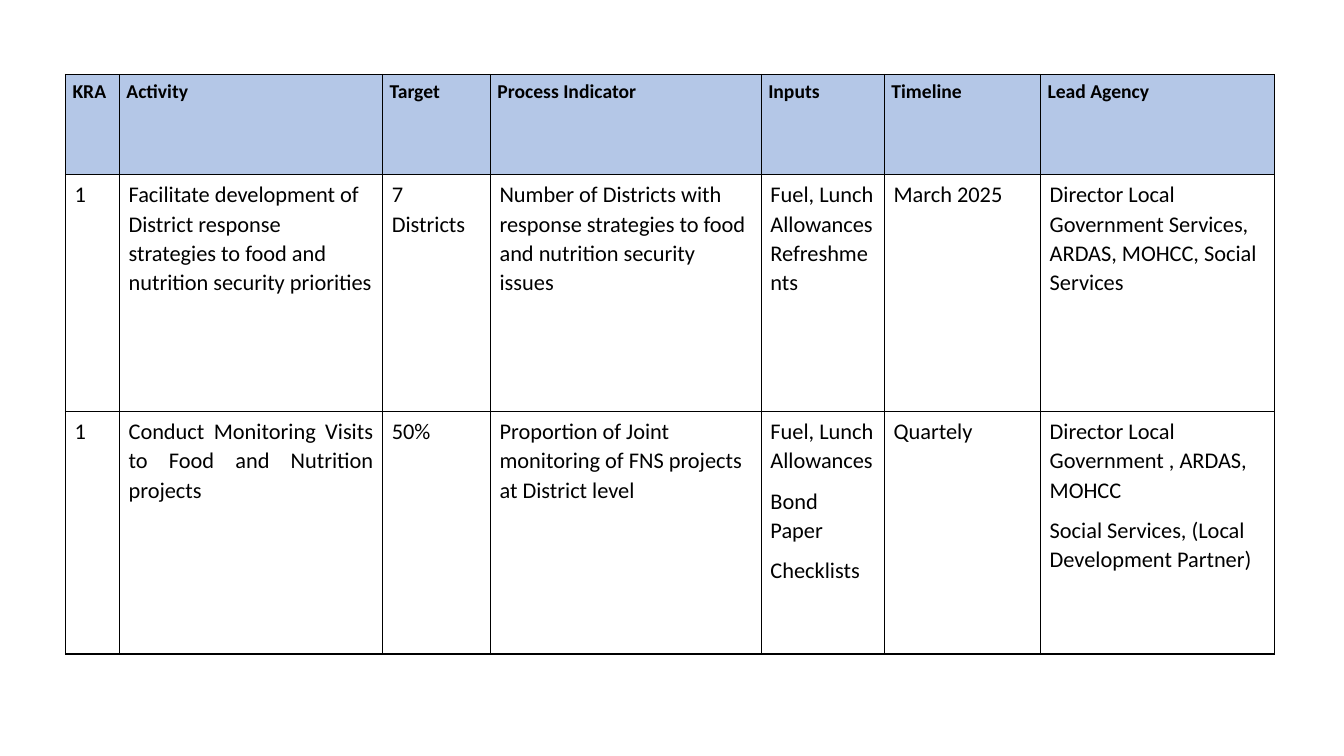
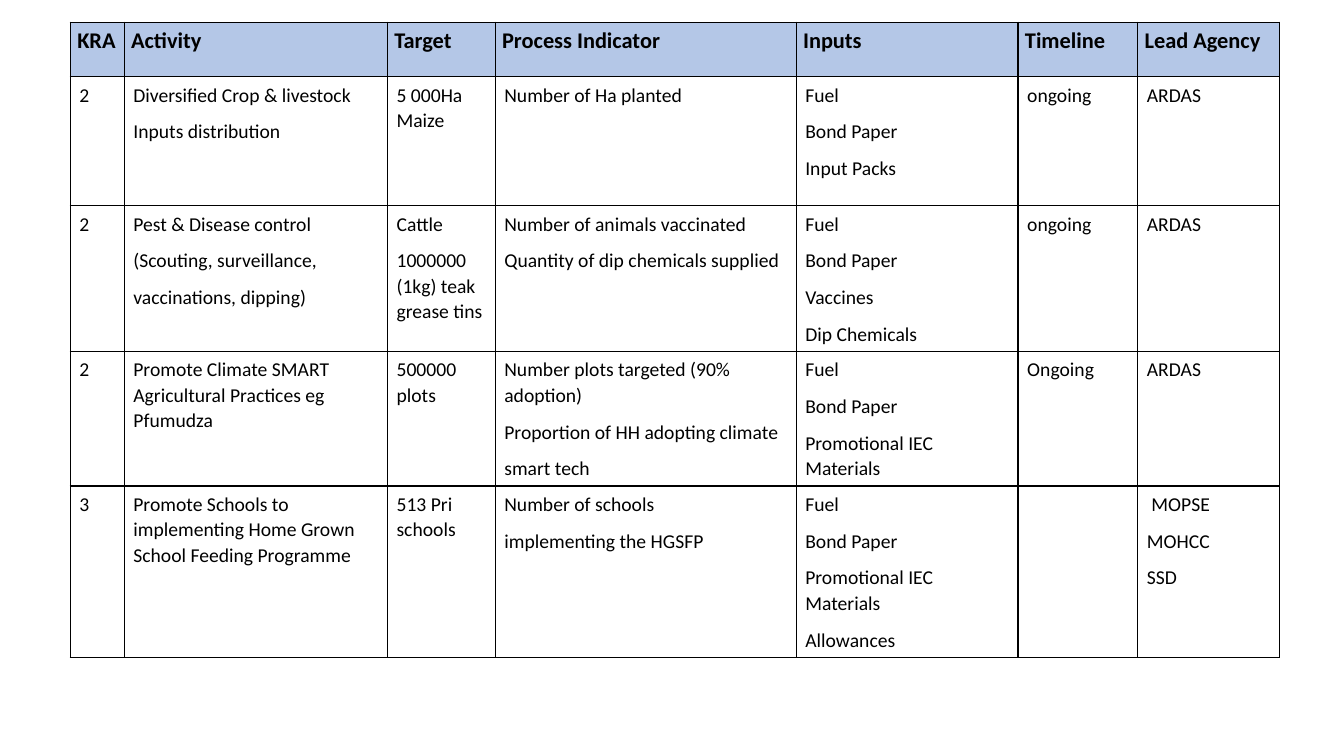
from lxml import etree
from pptx import Presentation
from pptx.dml.color import RGBColor
from pptx.enum.text import PP_ALIGN
from pptx.oxml.ns import qn
from pptx.util import Pt

LEFT = PP_ALIGN.LEFT
JUSTIFY = PP_ALIGN.JUSTIFY
BLACK = RGBColor(0x00, 0x00, 0x00)
HEADER_BLUE = RGBColor(0xB4, 0xC7, 0xE7)
FONT = "Calibri"
BORDER_WIDTH = Pt(1)
HEADER_INSETS = (Pt(5), Pt(2.5))
BODY_INSETS = (Pt(6.6), Pt(3.6))

HEADINGS = ["KRA", "Activity", "Target", "Process Indicator", "Inputs", "Timeline", "Lead Agency"]

DISTRICT_ROWS = [
    ["1",
     "Facilitate development of District response strategies to food and nutrition security priorities",
     "7 Districts",
     "Number of Districts with response strategies to food and nutrition security issues",
     "Fuel, Lunch Allowances\nRefreshments",
     "March 2025",
     "Director Local Government Services, ARDAS, MOHCC, Social Services"],
    ["1",
     "Conduct Monitoring Visits to Food and Nutrition projects",
     "50%",
     "Proportion of Joint monitoring of FNS projects at District level",
     "Fuel, Lunch Allowances\nBond Paper\nChecklists",
     "Quartely",
     "Director Local Government , ARDAS, MOHCC\nSocial Services, (Local Development Partner)"],
]

PROGRAMME_ROWS = [
    ["2",
     "Diversified Crop & livestock\nInputs distribution",
     "5 000Ha Maize",
     "Number of Ha planted",
     "Fuel\nBond Paper\nInput Packs",
     "ongoing",
     "ARDAS"],
    ["2",
     "Pest & Disease control\n(Scouting, surveillance,\nvaccinations, dipping)",
     "Cattle\n1000000 (1kg) teak grease tins",
     "Number of animals vaccinated\nQuantity of dip chemicals supplied",
     "Fuel\nBond Paper\nVaccines\nDip Chemicals",
     "ongoing",
     "ARDAS"],
    ["2",
     "Promote Climate SMART Agricultural Practices eg Pfumudza",
     "500000 plots",
     "Number plots targeted (90% adoption)\nProportion of HH adopting climate\nsmart tech",
     "Fuel\nBond Paper\nPromotional IEC Materials",
     "Ongoing",
     "ARDAS"],
    ["3",
     "Promote Schools to implementing Home Grown School Feeding Programme",
     "513 Pri schools",
     "Number of schools\nimplementing the HGSFP",
     "Fuel\nBond Paper\nPromotional IEC Materials\nAllowances",
     "",
     "MOPSE\nMOHCC\nSSD"],
]


def write_text(frame, text, size, bold=False, align=LEFT, space_after=8, first_indent=0):
    frame.word_wrap = True
    for index, line in enumerate(text.split("\n")):
        para = frame.paragraphs[0] if index == 0 else frame.add_paragraph()
        if index == 0 and first_indent:
            para._p.get_or_add_pPr().set("indent", str(Pt(first_indent)))
        para.alignment = align
        para.line_spacing = 1.07
        para.space_after = Pt(space_after)
        span = para.add_run()
        span.text = line
        span.font.name = FONT
        span.font.size = Pt(size)
        span.font.bold = bold
        span.font.color.rgb = BLACK


def draw_borders(cell):
    properties = cell._tc.get_or_add_tcPr()
    for side in ("a:lnL", "a:lnR", "a:lnT", "a:lnB"):
        line = etree.SubElement(properties, qn(side), w=str(BORDER_WIDTH))
        fill = etree.SubElement(line, qn("a:solidFill"))
        etree.SubElement(fill, qn("a:srgbClr"), val=str(BLACK))


def style_cell(cell, insets, color=None):
    cell.margin_left = cell.margin_right = insets[0]
    cell.margin_top = cell.margin_bottom = insets[1]
    draw_borders(cell)
    if color is None:
        cell.fill.background()
    else:
        cell.fill.solid()
        cell.fill.fore_color.rgb = color


def add_plan_page(deck, left, top, widths, heights, rows, header_size, body_size, formats):
    page = deck.slides.add_slide(deck.slide_layouts[6])
    frame = page.shapes.add_table(len(heights), len(widths), Pt(left), Pt(top),
                                  Pt(sum(widths)), Pt(sum(heights)))
    table = frame.table
    table.first_row = False
    table.horz_banding = False
    for column, width in zip(table.columns, widths):
        column.width = Pt(width)
    for row, height in zip(table.rows, heights):
        row.height = Pt(height)

    for column_index, heading in enumerate(HEADINGS):
        cell = table.cell(0, column_index)
        style_cell(cell, HEADER_INSETS, HEADER_BLUE)
        write_text(cell.text_frame, heading, size=header_size, bold=True)
    for row_index, texts in enumerate(rows, start=1):
        for column_index, text in enumerate(texts):
            cell = table.cell(row_index, column_index)
            style_cell(cell, BODY_INSETS)
            if text:
                cell_format = formats.get((row_index, column_index), {})
                write_text(cell.text_frame, text, size=body_size, **cell_format)


def main():
    deck = Presentation()
    deck.slide_width = Pt(960)
    deck.slide_height = Pt(540)
    add_plan_page(deck, left=46.8, top=53.2,
                  widths=[38.5, 188, 77, 193.5, 88, 111.5, 167],
                  heights=[71.5, 169, 173.5],
                  rows=DISTRICT_ROWS, header_size=14, body_size=16,
                  formats={(1, 4): {"space_after": 0}, (2, 1): {"align": JUSTIFY}})
    add_plan_page(deck, left=50.2, top=15.8,
                  widths=[38.5, 188, 77, 215, 158.5, 85.5, 101.5],
                  heights=[39, 92.2, 103.5, 95.7, 121.5],
                  rows=PROGRAMME_ROWS, header_size=16, body_size=14,
                  formats={(4, 6): {"first_indent": 3.2}})
    deck.save("out.pptx")


if __name__ == "__main__":
    main()
